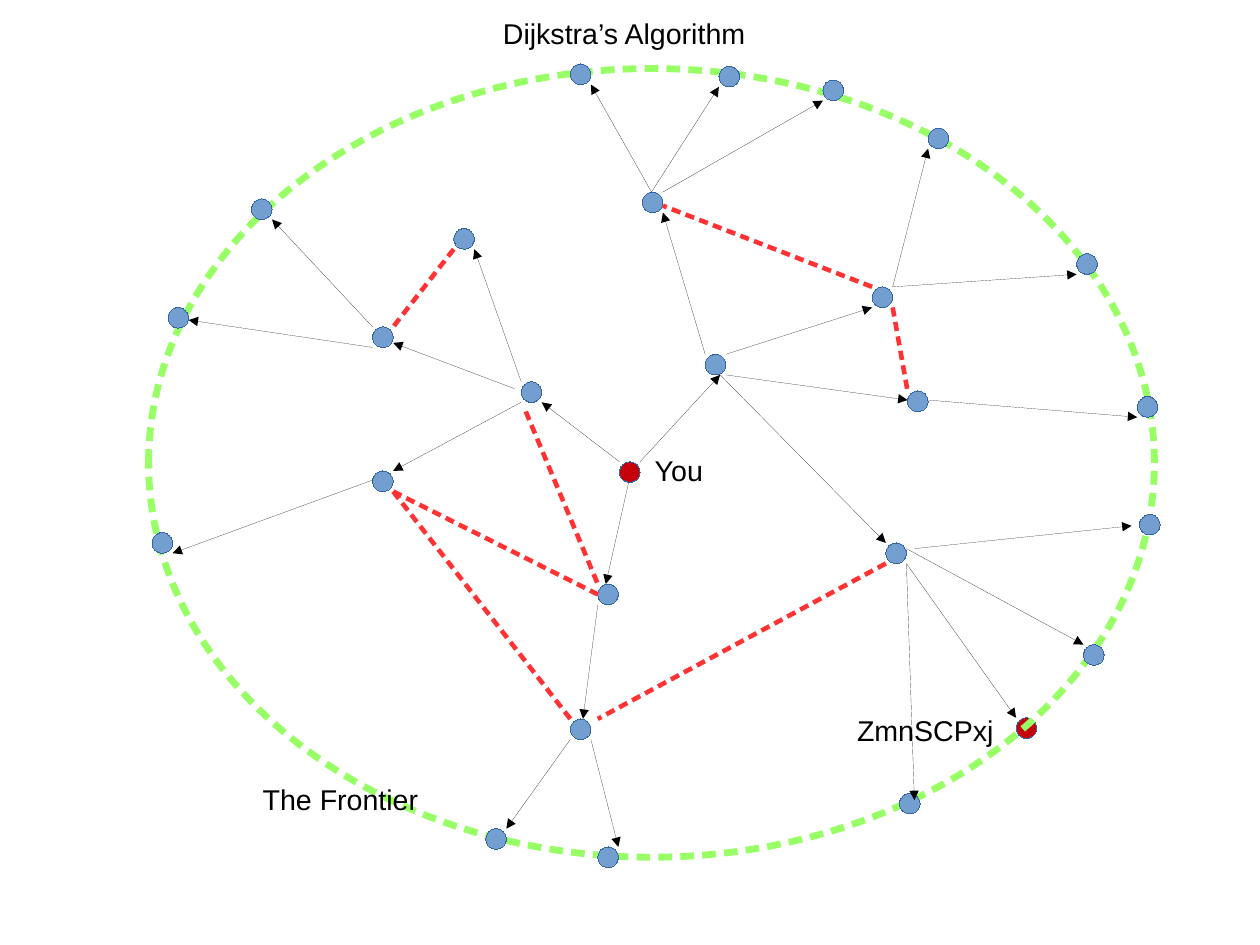
from collections import namedtuple

from lxml import etree
from pptx import Presentation
from pptx.dml.color import RGBColor
from pptx.enum.shapes import MSO_CONNECTOR, MSO_SHAPE
from pptx.enum.text import MSO_ANCHOR, MSO_AUTO_SIZE, PP_ALIGN
from pptx.oxml.ns import qn
from pptx.util import Cm, Inches, Pt

STRAIGHT = MSO_CONNECTOR.STRAIGHT
OVAL = MSO_SHAPE.OVAL
MIDDLE = MSO_ANCHOR.MIDDLE
GROW = MSO_AUTO_SIZE.SHAPE_TO_FIT_TEXT
LEFT = PP_ALIGN.LEFT

BLACK = RGBColor(0x00, 0x00, 0x00)
NODE_BLUE = RGBColor(0x72, 0x9F, 0xCF)
NODE_EDGE = RGBColor(0x34, 0x65, 0xA4)
ENDPOINT_RED = RGBColor(0xC5, 0x00, 0x0B)
SKIPPED_RED = RGBColor(0xFF, 0x33, 0x33)
FRONTIER_GREEN = RGBColor(0x99, 0xFF, 0x66)

FONT = "Arial"
NODE_SIZE = 0.18
LABEL_HEIGHT = 0.38

Box = namedtuple("Box", "left top width height")

# Node positions are left and top; paths are start x, y and end x, y
ENDPOINTS = [(5.42, 4.04), (8.89, 6.28)]
FIRST_HOPS = [(6.17, 3.1), (4.56, 3.34), (5.23, 5.11)]
FIRST_PATHS = [
    (5.42, 4.04, 4.74, 3.52), (5.6, 4.04, 6.3, 3.28), (5.5, 4.22, 5.3, 5.11),
]
SECOND_HOPS = [
    (5.62, 1.68), (3.97, 2), (7.75, 4.75), (4.99, 6.29),
    (7.63, 2.51), (3.26, 2.86), (3.26, 4.12), (7.94, 3.42),
]
SECOND_PATHS = [
    (6.17, 3.1, 5.8, 1.86), (6.35, 3.1, 7.63, 2.69),
    (6.35, 3.28, 7.94, 3.5), (6.3, 3.28, 7.75, 4.75),
    (4.56, 3.34, 4.15, 2.18), (4.5, 3.4, 3.44, 3),
    (4.56, 3.52, 3.44, 4.12), (5.23, 5.29, 5.1, 6.29),
]
SKIPPED_PATHS = [
    (3.97, 2.18, 3.44, 2.86), (4.6, 3.6, 5.23, 5.11),
    (7.81, 2.69, 7.94, 3.42), (7.63, 2.51, 5.8, 1.8),
    (7.75, 4.93, 5.23, 6.29), (3.44, 4.3, 5.23, 5.2),
    (3.44, 4.3, 4.99, 6.29),
]
FRONTIER_NODES = [
    (6.29, 0.58), (8.12, 1.12), (9.42, 2.22), (9.95, 3.47), (7.2, 0.7),
    (9.97, 4.5), (9.48, 5.64), (7.87, 6.94), (4.25, 7.25), (4.99, 0.56),
    (1.33, 4.66), (2.2, 1.74), (1.47, 2.69), (5.23, 7.41),
]
FRONTIER_PATHS = [
    (7.93, 4.93, 8, 7), (7.93, 4.93, 8.89, 6.28), (7.93, 4.8, 9.48, 5.64),
    (8, 4.8, 9.9, 4.6), (8.12, 3.5, 9.95, 3.65), (7.81, 2.51, 8.12, 1.3),
    (7.81, 2.51, 9.42, 2.4), (5.8, 1.68, 7.2, 0.88),
    (5.7, 1.68, 6.29, 0.76), (5.7, 1.68, 5.17, 0.74),
    (3.26, 2.86, 2.38, 1.92), (3.26, 3.04, 1.65, 2.8),
    (3.26, 4.2, 1.51, 4.84), (5.17, 6.47, 5.41, 7.41),
    (4.99, 6.47, 4.43, 7.25),
]


def set_hairline(line):
    """An explicit zero width, which line.width would leave out."""
    line._get_or_add_ln().set("w", "0")


def add_dashes(line):
    """Short dashes, measured in line widths."""
    ln = line._get_or_add_ln()
    dashes = etree.Element(qn("a:custDash"))
    etree.SubElement(dashes, qn("a:ds"), d="200000", sp="120000")
    ln.find(qn("a:solidFill")).addnext(dashes)


def write_text(text_holder, text):
    frame = text_holder.text_frame
    frame.word_wrap = False
    frame.auto_size = GROW
    frame.vertical_anchor = MIDDLE
    frame.margin_left = frame.margin_right = Inches(0.1)
    frame.margin_top = frame.margin_bottom = Inches(0.05)
    paragraph = frame.paragraphs[0]
    paragraph.alignment = LEFT
    run = paragraph.add_run()
    run.text = text
    run.font.name = FONT
    run.font.size = Pt(18)
    run.font.color.rgb = BLACK


def add_heading(slide, box):
    heading = slide.shapes.title
    heading.left, heading.top = Inches(box.left), Inches(box.top)
    heading.width, heading.height = Inches(box.width), Inches(box.height)
    write_text(heading, "Dijkstra’s Algorithm")


def add_label(slide, box, text):
    label = slide.shapes.add_textbox(*map(Inches, box))
    write_text(label, text)


def add_nodes(slide, box, positions, color):
    for x, y in positions:
        node = slide.shapes.add_shape(
            OVAL, Inches(box.left + x), Inches(box.top + y),
            Inches(NODE_SIZE), Inches(NODE_SIZE))
        node.shadow.inherit = False
        node.fill.solid()
        node.fill.fore_color.rgb = color
        node.line.color.rgb = NODE_EDGE
        set_hairline(node.line)


def add_paths(slide, box, paths, skipped=False):
    for x1, y1, x2, y2 in paths:
        path_line = slide.shapes.add_connector(
            STRAIGHT, Inches(box.left + x1), Inches(box.top + y1),
            Inches(box.left + x2), Inches(box.top + y2))
        line = path_line.line
        line.color.rgb = SKIPPED_RED if skipped else BLACK
        if skipped:
            line.width = Pt(2.89)
            add_dashes(line)
        else:
            set_hairline(line)
            etree.SubElement(line._get_or_add_ln(), qn("a:tailEnd"),
                             type="triangle")
        etree.SubElement(path_line._element.spPr, qn("a:effectLst"))


def add_frontier(slide, box):
    frontier = slide.shapes.add_shape(OVAL, *map(Inches, box))
    frontier.shadow.inherit = False
    frontier.fill.background()
    frontier.line.color.rgb = FRONTIER_GREEN
    frontier.line.width = Pt(4.31)
    add_dashes(frontier.line)


def add_network(slide, box):
    # You and the destination
    add_nodes(slide, box, ENDPOINTS, ENDPOINT_RED)
    # Explored nodes and the paths that reach them
    add_nodes(slide, box, FIRST_HOPS, NODE_BLUE)
    add_paths(slide, box, FIRST_PATHS)
    add_nodes(slide, box, SECOND_HOPS, NODE_BLUE)
    add_paths(slide, box, SECOND_PATHS)
    # Links that are not on a shortest path
    add_paths(slide, box, SKIPPED_PATHS, skipped=True)
    # The frontier and its nodes
    add_frontier(slide, Box(box.left + 1.3, box.top + 0.6, 8.8, 6.9))
    add_nodes(slide, box, FRONTIER_NODES, NODE_BLUE)
    add_paths(slide, box, FRONTIER_PATHS)
    # Labels
    for x, y, width, text in [
        (5.63, 3.92, 0.67, "You"),
        (7.4, 6.2, 1.4, "ZmnSCPxj"),
        (2.2, 6.8, 1.7, "The Frontier"),
    ]:
        add_label(slide, Box(box.left + x, box.top + y, width, LABEL_HEIGHT),
                  text)


def main():
    deck = Presentation()
    deck.slide_width, deck.slide_height = Cm(28), Cm(21)
    # The page is not a preset screen size
    deck.element.sldSz.attrib.pop("type", None)
    slide = deck.slides.add_slide(deck.slide_layouts[5])
    add_heading(slide, Box(4.3, 0.1, 2.4, LABEL_HEIGHT))
    add_network(slide, Box(0, 0, 11.02, 8.27))
    deck.save("out.pptx")


if __name__ == "__main__":
    main()
